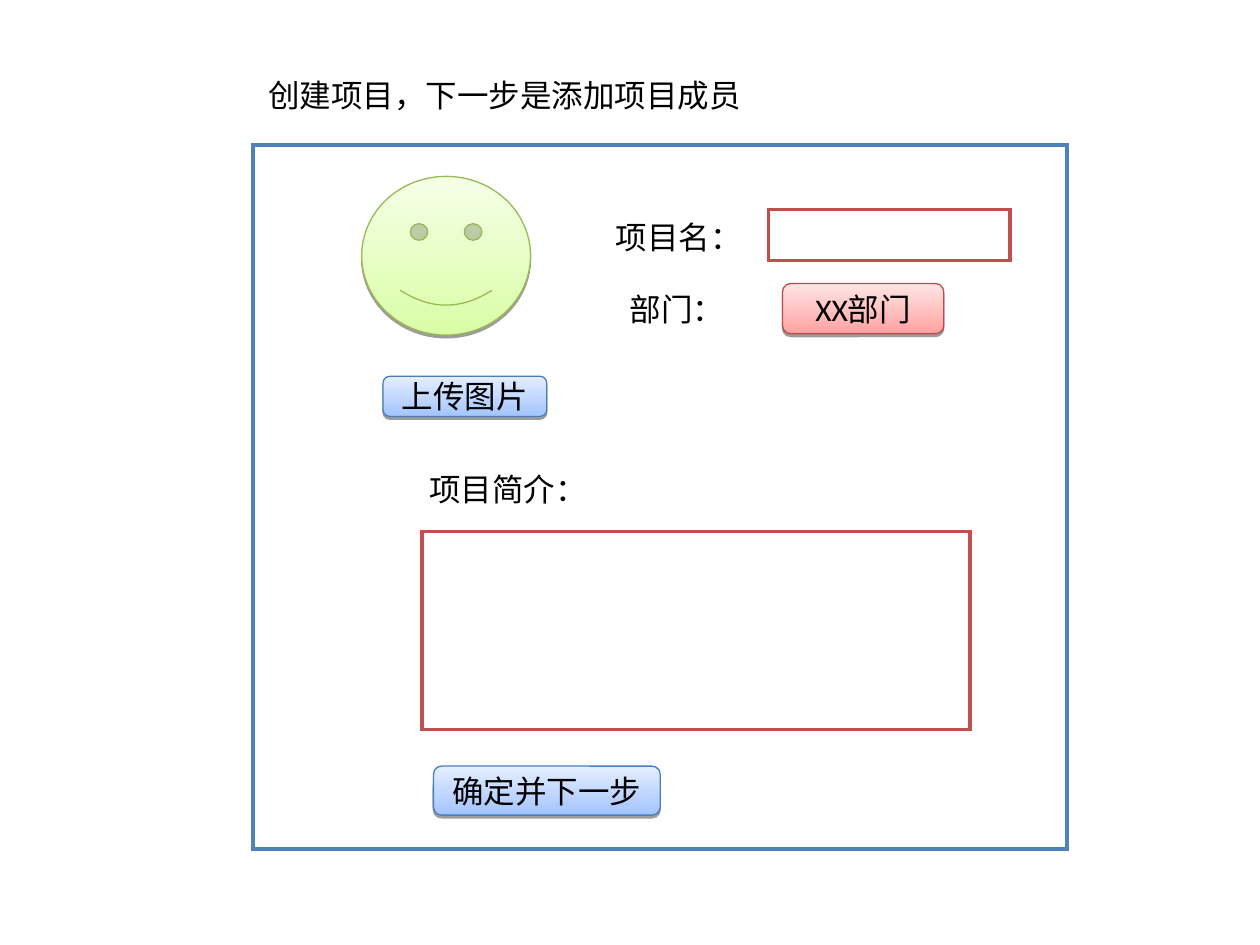
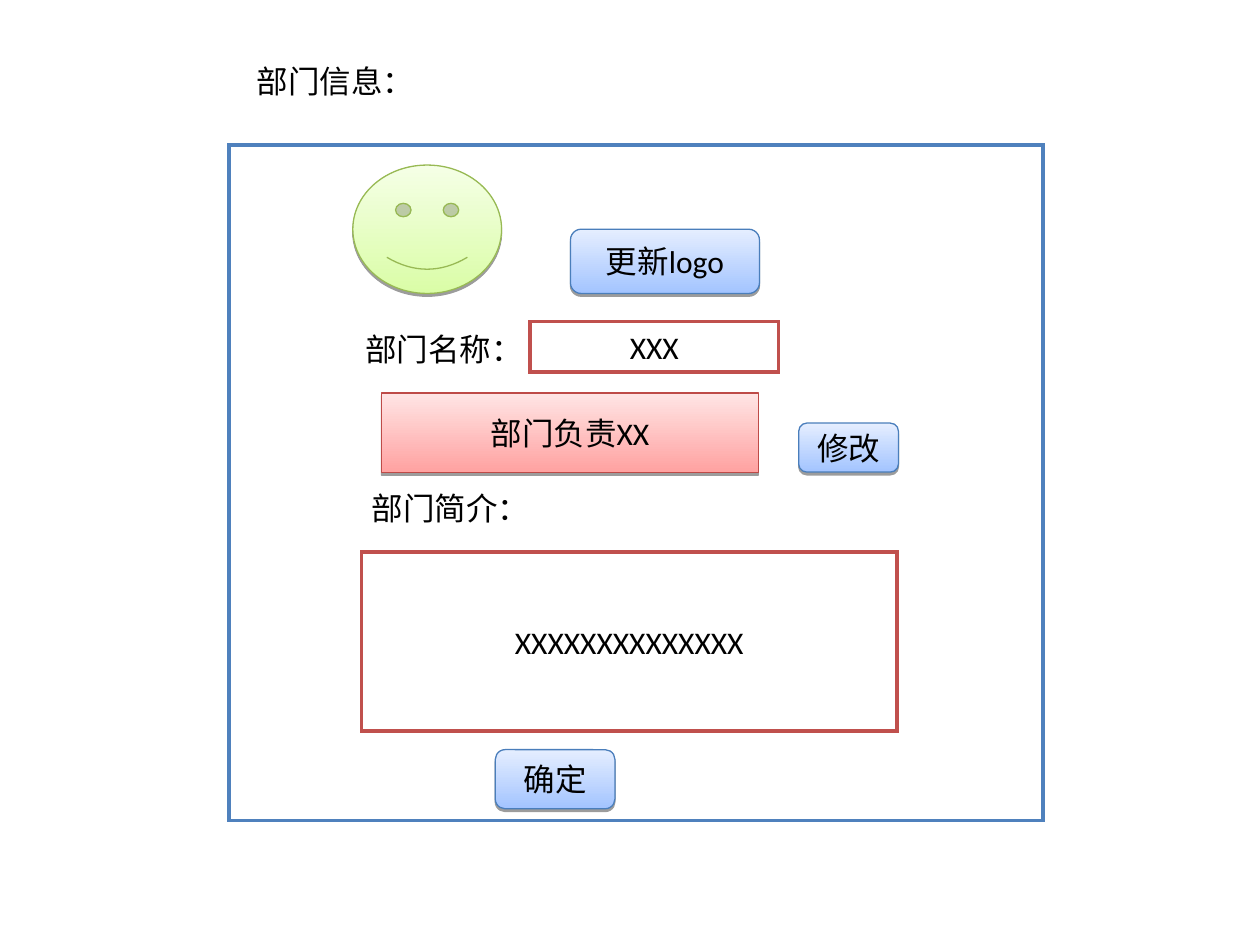
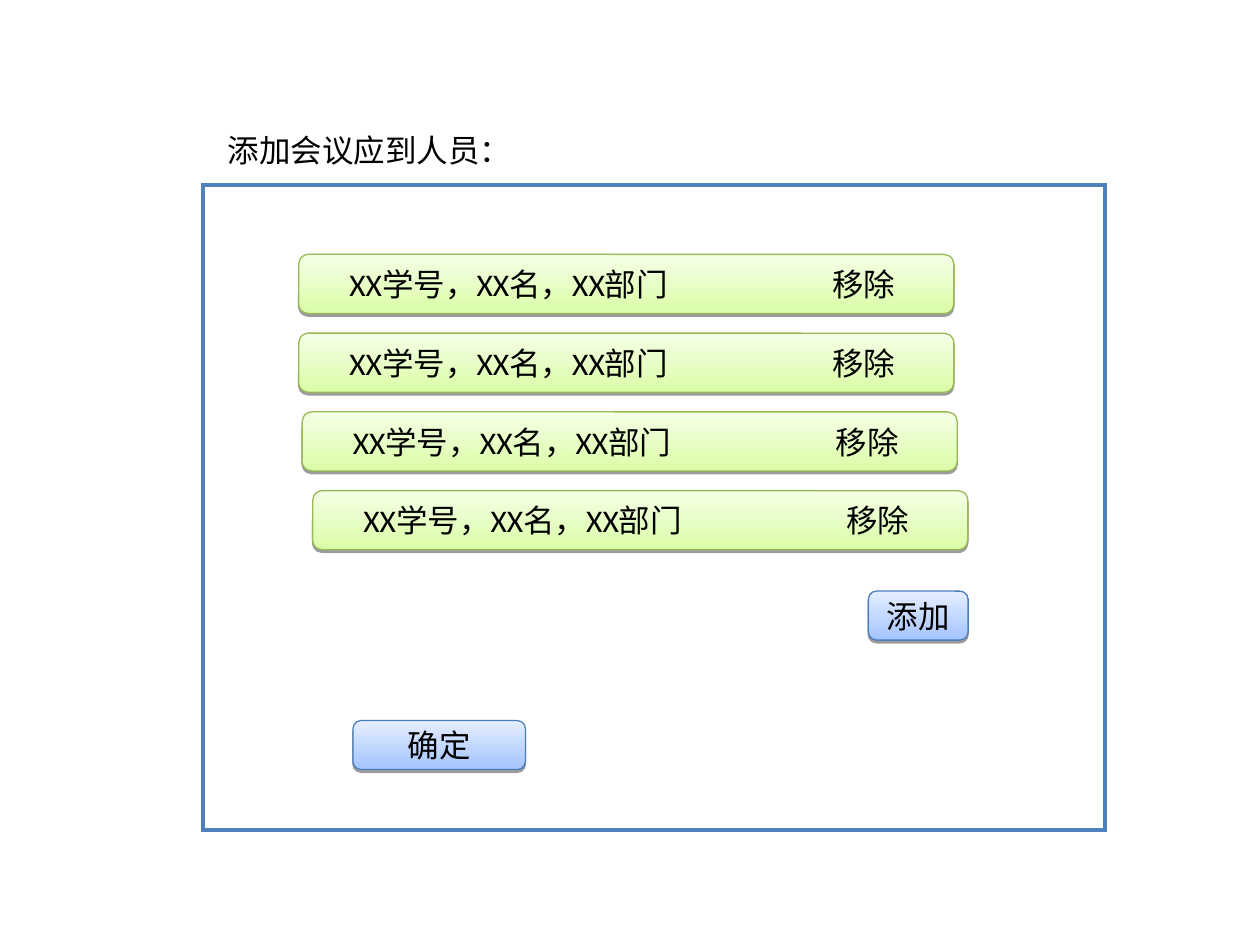
"""Builds three wireframes: project form, department form and meeting attendees."""
import dataclasses

import pptx
import pptx.dml.color
import pptx.enum.shapes
import pptx.enum.text
import pptx.oxml
import pptx.oxml.ns
import pptx.util

Pt = pptx.util.Pt
Preset = pptx.enum.shapes.MSO_SHAPE
Align = pptx.enum.text.PP_ALIGN
Anchor = pptx.enum.text.MSO_ANCHOR


@dataclasses.dataclass(frozen=True)
class Tint:
    """Outline colour with the gradient colours at the bottom and the top."""
    line: str
    bottom: str
    top: str


@dataclasses.dataclass(frozen=True)
class Theme:
    """Colours and type shared by all slides."""
    font: str = "Calibri"
    size: float = 18
    ink: str = "000000"
    paper: str = "FFFFFF"
    frame: str = "4F81BD"
    field: str = "C0504D"
    outline: float = 2
    hairline: float = 0.75
    blue: Tint = Tint("4A7EBB", "A3C4FF", "E5EEFF")
    red: Tint = Tint("BE4B48", "FFA2A1", "FFE5E5")
    green: Tint = Tint("98B954", "DAFDA7", "F5FFE6")


@dataclasses.dataclass(frozen=True)
class Box:
    """A rectangle in points."""
    left: float
    top: float
    width: float
    height: float

    def inside(self, dx, dy, width, height):
        """Return a box offset from this one's top left corner."""
        return Box(self.left + dx, self.top + dy, width, height)

    def lengths(self):
        """Return left, top, width and height as slide lengths."""
        return [Pt(value) for value in dataclasses.astuple(self)]


THEME = Theme()
LABEL_HEIGHT = 28.8


def rgb(code):
    """Return the colour for a hex code."""
    return pptx.dml.color.RGBColor.from_string(code)


def write(frame, wording, align, anchor, wrap):
    """Put one run of themed text into a text frame and return its paragraph."""
    frame.word_wrap = wrap
    frame.auto_size = pptx.enum.text.MSO_AUTO_SIZE.NONE
    frame.vertical_anchor = anchor
    frame.margin_left = frame.margin_right = Pt(7.2)
    frame.margin_top = frame.margin_bottom = Pt(3.6)
    paragraph = frame.paragraphs[0]
    paragraph.alignment = align
    run = paragraph.add_run()
    run.text = wording
    run.font.name = THEME.font
    run.font.size = Pt(THEME.size)
    run.font.color.rgb = rgb(THEME.ink)
    return paragraph


def add_label(slide, box, wording):
    """Add a left-aligned caption."""
    caption = slide.shapes.add_textbox(*box.lengths())
    write(caption.text_frame, wording, Align.LEFT, Anchor.TOP, False)


def add_outline(slide, box, color, wording=""):
    """Add a white rectangle with a sharp-cornered coloured outline."""
    outline = slide.shapes.add_shape(Preset.RECTANGLE, *box.lengths())
    outline.shadow.inherit = False
    outline.fill.solid()
    outline.fill.fore_color.rgb = rgb(THEME.paper)
    outline.line.color.rgb = rgb(color)
    outline.line.width = Pt(THEME.outline)
    stroke = outline._element.spPr.find(pptx.oxml.ns.qn("a:ln"))
    stroke.append(pptx.oxml.parse_xml(
        f'<a:miter {pptx.oxml.ns.nsdecls("a")} lim="800000"/>'))
    if wording:
        write(outline.text_frame, wording, Align.CENTER, Anchor.MIDDLE, True)


def add_field(slide, box, wording=""):
    """Add an input field."""
    add_outline(slide, box, THEME.field, wording)


def add_glossy(slide, preset, box, tint):
    """Add a gradient shape with a crisp shadow below it."""
    glossy = slide.shapes.add_shape(preset, *box.lengths())
    glossy.fill.gradient()
    glossy.fill.gradient_angle = 90
    for stop, color in zip(glossy.fill.gradient_stops, (tint.bottom, tint.top)):
        stop.color.rgb = rgb(color)
    glossy.line.color.rgb = rgb(tint.line)
    glossy.line.width = Pt(THEME.hairline)
    glossy.shadow.inherit = False
    effects = glossy._element.spPr.find(pptx.oxml.ns.qn("a:effectLst"))
    effects.append(pptx.oxml.parse_xml(
        f'<a:outerShdw {pptx.oxml.ns.nsdecls("a")} blurRad="0" dist="{Pt(1.6)}" '
        f'dir="5400000" rotWithShape="0"><a:srgbClr val="{THEME.ink}">'
        '<a:alpha val="38000"/></a:srgbClr></a:outerShdw>'))
    return glossy


def add_button(slide, box, wording, tint=THEME.blue, preset=Preset.ROUNDED_RECTANGLE):
    """Add a glossy button with centred wording."""
    button = add_glossy(slide, preset, box, tint)
    write(button.text_frame, wording, Align.CENTER, Anchor.MIDDLE, True)


def add_avatar(slide, box):
    """Add the smiling image placeholder."""
    add_glossy(slide, Preset.SMILEY_FACE, box, THEME.green)


def add_attendee(slide, box):
    """Add an attendee row whose remove action sits at a tab stop."""
    row = add_glossy(slide, Preset.ROUNDED_RECTANGLE, box, THEME.green)
    details = write(row.text_frame, "XX学号，XX名，XX部门\t移除",
                    Align.LEFT, Anchor.MIDDLE, True)
    row.text_frame.margin_left = Pt(27.3)
    details._p.get_or_add_pPr().append(pptx.oxml.parse_xml(
        f'<a:tabLst {pptx.oxml.ns.nsdecls("a")}>'
        f'<a:tab pos="{Pt(276)}" algn="l"/></a:tabLst>'))


def add_screen(deck, frame, heading, heading_box):
    """Add a slide with its heading and blue screen frame."""
    slide = deck.slides.add_slide(deck.slide_layouts.get_by_name("Title Only"))
    title = slide.shapes.title
    title.left, title.top, title.width, title.height = heading_box.lengths()
    write(title.text_frame, heading, Align.LEFT, Anchor.TOP, False)
    add_outline(slide, frame, THEME.frame)
    return slide


def project_slide(deck, frame):
    """Build the form that creates a project."""
    slide = add_screen(deck, frame, "创建项目，下一步是添加项目成员",
                       frame.inside(1.4, -42.8, 300, LABEL_HEIGHT))
    add_label(slide, frame.inside(200.2, 38.2, 86.4, LABEL_HEIGHT), "项目名：")
    add_label(slide, frame.inside(93.6, 182.2, 104.4, LABEL_HEIGHT), "项目简介：")
    add_field(slide, frame.inside(294.5, 37, 138, 29))
    add_field(slide, frame.inside(96.5, 221, 313.2, 113))
    add_label(slide, frame.inside(208, 79.2, 68.4, LABEL_HEIGHT), "部门：")
    add_button(slide, frame.inside(302.4, 79.2, 92.2, 28.8), "XX部门", THEME.red)
    add_button(slide, frame.inside(103, 355, 129.6, 28), "确定并下一步")
    add_avatar(slide, frame.inside(62, 18, 96.5, 90.7))
    add_button(slide, frame.inside(74.2, 132.2, 93.6, 23), "上传图片")


def department_slide(deck, frame):
    """Build the form that edits a department."""
    slide = add_screen(deck, frame, "部门信息：",
                       frame.inside(8.6, -51, 120, LABEL_HEIGHT))
    add_label(slide, frame.inside(70.6, 102.2, 104.4, LABEL_HEIGHT), "部门名称：")
    add_field(slide, frame.inside(172, 101, 141.8, 28.8), "XXX")
    add_label(slide, frame.inside(74.2, 193, 104.4, LABEL_HEIGHT), "部门简介：")
    add_field(slide, frame.inside(75.6, 232.6, 306, 102.2), "XXXXXXXXXXXXXX")
    add_button(slide, frame.inside(152, 345.6, 68.4, 33.8), "确定")
    add_avatar(slide, frame.inside(70.6, 11.5, 85, 73.4))
    add_button(slide, frame.inside(195, 48.2, 108, 36.7), "更新logo")
    add_button(slide, frame.inside(87, 141.8, 215.3, 45.4), "部门负责XX",
               THEME.red, Preset.RECTANGLE)
    add_button(slide, frame.inside(325.4, 159, 57, 28), "修改")


def attendees_slide(deck, frame):
    """Build the list of expected meeting attendees."""
    slide = add_screen(deck, frame, "添加会议应到人员：",
                       frame.inside(7, -34.5, 192, LABEL_HEIGHT))
    for index, shift in enumerate((0, 0, 2, 8)):
        add_attendee(slide, frame.inside(54.7 + shift, 39.6 + 45 * index, 374.4, 33.8))
    add_button(slide, frame.inside(380.2, 232, 57, 28), "添加")
    add_button(slide, frame.inside(85.7, 306, 98.6, 28), "确定")


def main():
    """Build and save the deck."""
    deck = pptx.Presentation()
    deck.slide_width, deck.slide_height = Pt(720), Pt(540)
    project_slide(deck, Box(144.7, 82.8, 465, 402.5))
    department_slide(deck, Box(131, 82.8, 465, 386))
    attendees_slide(deck, Box(116, 105.8, 515.5, 368.6))
    deck.save("out.pptx")


if __name__ == "__main__":
    main()
